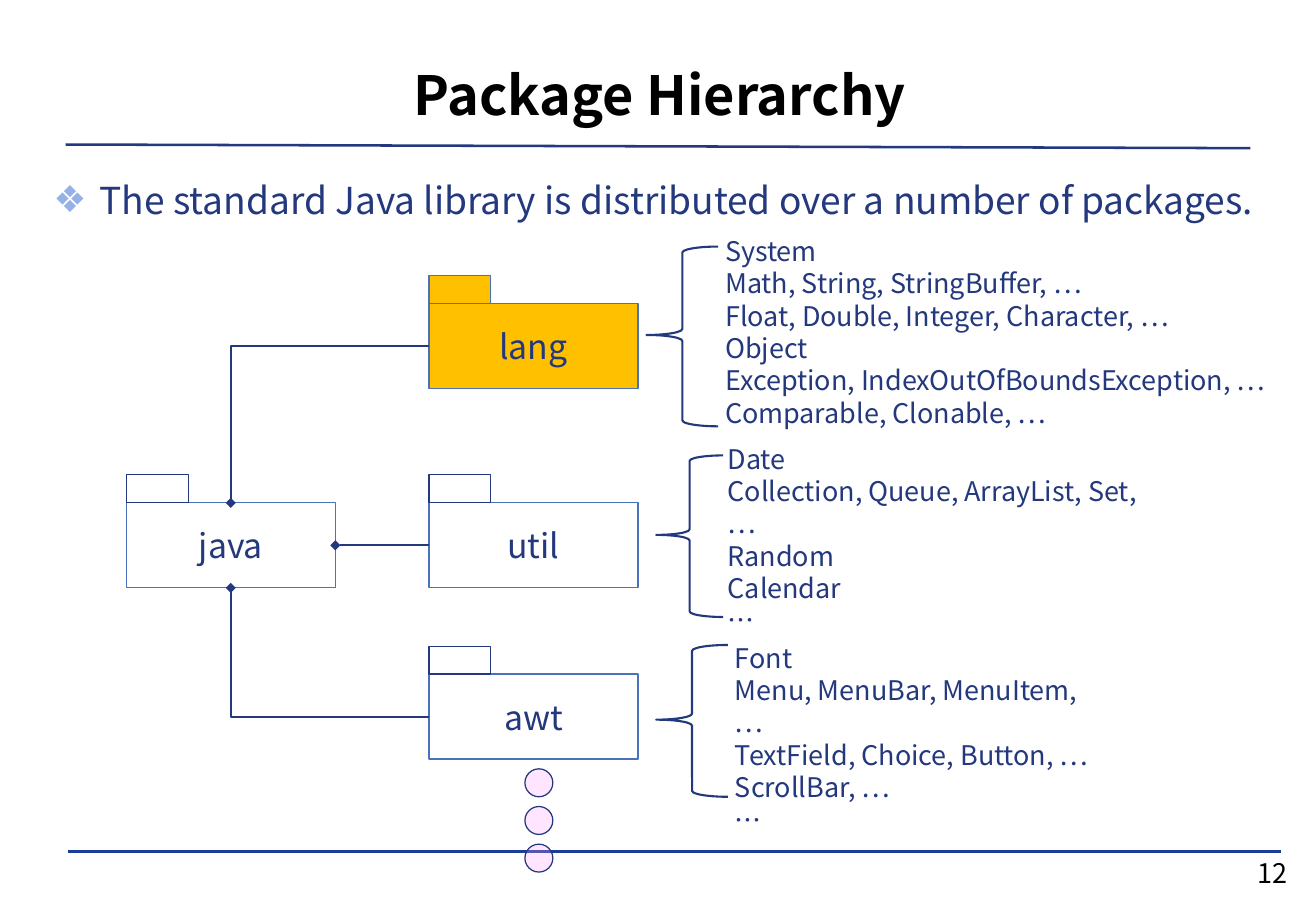
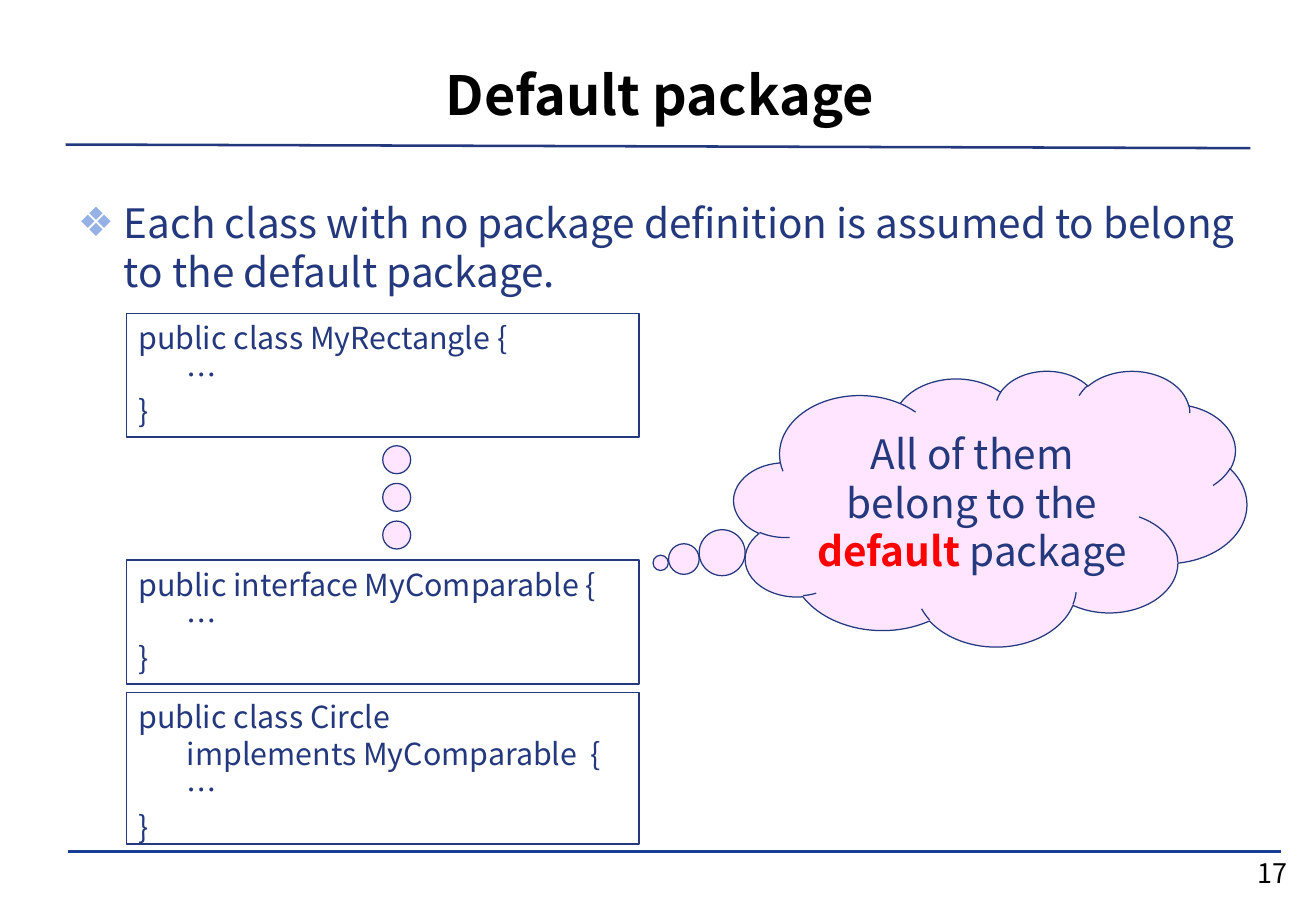
from lxml import etree
from pptx import Presentation
from pptx import util as u
from pptx.dml.color import RGBColor
from pptx.enum import shapes, text
from pptx.oxml import ns

FONT = "Noto Sans CJK KR"
COLORS = {"navy": "23387D", "blue": "4972BB", "footer": "1A3D97", "bullet": "96B1E6",
          "amber": "FFC000", "pink": "FF9BFF", "red": "FF0000", "black": "000000"}
FORMATS = {
    "title": {"size": u.Pt(32), "bold": True, "color": "black"},
    "wide": {"size": u.Pt(22), "color": "navy"},
    "large": {"size": u.Pt(24), "color": "navy"},
    "strong": {"size": u.Pt(24), "bold": True, "color": "red"},
    "folder": {"size": u.Pt(20), "color": "navy"},
    "classes": {"size": u.Pt(16), "color": "navy"},
    "code": {"size": u.Pt(18), "color": "navy"},
    "number": {"size": u.Pt(16), "color": "black"},
}
MARGINS = ("margin_left", "margin_top", "margin_right", "margin_bottom")
LINE_HEIGHT = 1.2
FOLDER_WIDTH, FOLDER_HEIGHT = 1.72, 0.7
TAB_WIDTH, TAB_HEIGHT = 0.51, 0.23
PACKAGES = [
    {"name": "lang", "top": 2.5, "fill": "amber", "tab_line": "blue",
     "brace": (5.32, 2.03, 0.59, 1.48), "box": (5.87, 1.88, 4.7, 1.72),
     "classes": ["System", "Math, String, StringBuffer, …",
                 "Float, Double, Integer, Character, …", "Object",
                 "Exception, IndexOutOfBoundsException, …", "Comparable, Clonable, …"]},
    {"name": "util", "top": 4.14, "fill": None, "tab_line": "navy",
     "brace": (5.4, 3.75, 0.55, 1.33), "box": (5.89, 3.59, 3.65, 1.45),
     "classes": ["Date", "Collection, Queue, ArrayList, Set, …", "Random", "Calendar", "…"]},
    {"name": "awt", "top": 5.55, "fill": None, "tab_line": "navy",
     "brace": (5.4, 5.31, 0.59, 1.25), "box": (5.95, 5.23, 3.18, 1.45),
     "classes": ["Font", "Menu, MenuBar, MenuItem, …", "TextField, Choice, Button, …",
                 "ScrollBar, …", "…"]},
]
CODE_BOXES = [
    (2.58, 1.02, [(0, "public class MyRectangle {"), (1, "…"), (0, "}")]),
    (4.61, 1.02, [(0, "public interface MyComparable {"), (1, "…"), (0, "}")]),
    (5.7, 1.25, [(0, "public class Circle"), (1, "implements MyComparable  {"),
                 (1, "…"), (0, "}")]),
]


def inches(*lengths):
    """Convert plain numbers to lengths."""
    return [u.Inches(length) for length in lengths]


def rgb(name):
    """Return a named colour."""
    return RGBColor.from_string(COLORS[name])


def set_values(target, values):
    """Set each attribute of a dict on the target."""
    for name, value in values.items():
        setattr(target, name, value)


def add_run(paragraph, words, style):
    """Append a run in a named format."""
    run = paragraph.add_run()
    run.text = words
    values = dict(FORMATS[style])
    run.font.color.rgb = rgb(values.pop("color"))
    set_values(run.font, {"name": FONT, **values})
    east_asian = etree.SubElement(run.font._element, ns.qn("a:ea"))
    east_asian.set("typeface", FONT)


def write(shape, lines, style, align=text.PP_ALIGN.LEFT, anchor=text.MSO_ANCHOR.TOP,
          tight=True):
    """Fill a shape with paragraphs and return them."""
    frame = shape.text_frame
    set_values(frame, {"word_wrap": True, "auto_size": text.MSO_AUTO_SIZE.NONE,
                       "vertical_anchor": anchor})
    for index, line in enumerate(lines):
        paragraph = frame.add_paragraph() if index else frame.paragraphs[0]
        paragraph.alignment = align
        if tight:
            paragraph.line_spacing = u.Pt(FORMATS[style]["size"].pt * LINE_HEIGHT)
        for words, run_style in [(line, style)] if isinstance(line, str) else line:
            add_run(paragraph, words, run_style)
    return list(frame.paragraphs)


def set_line(shape, color, width):
    """Give an outline its colour and width."""
    shape.line.color.rgb = rgb(color)
    shape.line.width = u.Pt(width)


def add_shape(parent, kind, box, fill=None, line="navy", width=0.75, alpha=None):
    """Draw a preset shape without shadow."""
    shape = parent.shapes.add_shape(kind, *inches(*box))
    shape.shadow.inherit = False
    set_line(shape, line, width)
    if fill is None:
        shape.fill.background()
        return shape
    shape.fill.solid()
    shape.fill.fore_color.rgb = rgb(fill)
    if alpha:
        color = shape._element.spPr.find(ns.qn("a:solidFill"))[0]
        etree.SubElement(color, ns.qn("a:alpha")).set("val", str(alpha * 1000))
    return shape


def add_line(slide, start, end, color, width, kind=shapes.MSO_CONNECTOR.STRAIGHT):
    """Draw a connector without shadow."""
    line = slide.shapes.add_connector(kind, *inches(*start, *end))
    set_line(line, color, width)
    etree.SubElement(line._element.spPr, ns.qn("a:effectLst"))
    return line


def add_frame(presentation, title, number, bullet, box, style):
    """Add a slide with title, rules, page number and bullet."""
    slide = presentation.slides.add_slide(presentation.slide_layouts[1])
    add_line(slide, (0.56, 7.01), (10.54, 7.01), "footer", 0)
    add_line(slide, (0.54, 1.19), (10.29, 1.22), "navy", 1.5)
    page = slide.shapes.add_textbox(*inches(10.22, 7.05, 0.5, 0.27))
    set_values(page.text_frame, dict.fromkeys(MARGINS, 0))
    write(page, [number], "number", text.PP_ALIGN.CENTER, text.MSO_ANCHOR.MIDDLE, False)
    heading, body = slide.placeholders
    for shape, place in ((heading, (0.56, 0.35, 9.74, 0.84)), (body, box)):
        set_values(shape, dict(zip(("left", "top", "width", "height"), inches(*place))))
    write(heading, [title], "title", text.PP_ALIGN.CENTER, text.MSO_ANCHOR.MIDDLE, False)
    paragraph, = write(body, [bullet], style)
    paragraph.space_before = u.Pt(2)
    properties = paragraph._p.get_or_add_pPr()
    properties.set("marL", str(u.Inches(0.38)))
    properties.set("indent", str(u.Inches(-0.38)))
    color = etree.SubElement(properties, ns.qn("a:buClr"))
    etree.SubElement(color, ns.qn("a:srgbClr")).set("val", COLORS["bullet"])
    etree.SubElement(properties, ns.qn("a:buChar")).set("char", "❖")
    return slide


def add_folder(slide, left, top, name, fill=None, tab_line="navy"):
    """Draw a package folder and return its body."""
    group = slide.shapes.add_group_shape()
    kind = shapes.MSO_SHAPE.RECTANGLE
    body = add_shape(group, kind, (left, top, FOLDER_WIDTH, FOLDER_HEIGHT), fill, "blue")
    write(body, [name], "folder", text.PP_ALIGN.CENTER, text.MSO_ANCHOR.MIDDLE, False)
    add_shape(group, kind, (left, top - TAB_HEIGHT, TAB_WIDTH, TAB_HEIGHT), fill, tab_line)
    return body


def add_dots(slide, left, top):
    """Draw three dots in a column."""
    group = slide.shapes.add_group_shape()
    for index in range(3):
        add_shape(group, shapes.MSO_SHAPE.OVAL, (left, top + index * 0.31, 0.23, 0.23),
                  "pink", alpha=26)


def add_composition(slide, part, whole, site):
    """Link a part to its whole with a diamond at the whole."""
    straight = site == 3
    kind = shapes.MSO_CONNECTOR.STRAIGHT if straight else shapes.MSO_CONNECTOR.ELBOW
    line = add_line(slide, (0, 0), (1, 1), "navy", 1.25, kind)
    line.begin_connect(part, 1)
    line.end_connect(whole, site)
    if not straight:
        line._element.spPr.find(ns.qn("a:prstGeom")).set("prst", "bentConnector2")
    etree.SubElement(line.line._get_or_add_ln(), ns.qn("a:tailEnd")).set("type", "diamond")


def add_class_list(slide, brace_box, box, classes):
    """Draw a brace and the class names beside it."""
    brace = add_shape(slide, shapes.MSO_SHAPE.LEFT_BRACE, brace_box, width=1.25)
    brace.adjustments[0], brace.adjustments[1] = 0.083, 0.492
    write(slide.shapes.add_textbox(*inches(*box)), classes, "classes")


def add_code(slide, box, lines):
    """Draw a framed code fragment with indented lines."""
    shape = add_shape(slide, shapes.MSO_SHAPE.RECTANGLE, box, width=1)
    paragraphs = write(shape, [words for _, words in lines], "code")
    for paragraph, (level, _) in zip(paragraphs, lines):
        paragraph._p.get_or_add_pPr().set("marL", str(u.Inches(0.4 * level)))


def add_thought(slide, box):
    """Draw the thought cloud."""
    cloud = add_shape(slide, shapes.MSO_SHAPE.CLOUD_CALLOUT, box, "pink", alpha=26)
    cloud.adjustments[0], cloud.adjustments[1] = -0.643, 0.198
    set_values(cloud.text_frame, dict.fromkeys(MARGINS, 0))
    words = [("All of them belong to the ", "large"), ("default", "strong"),
             (" package", "large")]
    write(cloud, [words], "large", text.PP_ALIGN.CENTER, text.MSO_ANCHOR.MIDDLE)


def build_hierarchy(presentation):
    """Build the package hierarchy slide."""
    slide = add_frame(presentation, "Package Hierarchy", "12",
                      "The standard Java library is distributed over a number of packages.",
                      (0.34, 1.41, 10.31, 0.55), "wide")
    java = add_folder(slide, 1.04, 4.14, "java")
    for package, site in zip(PACKAGES, (0, 3, 2)):
        folder = add_folder(slide, 3.53, package["top"], package["name"],
                            package["fill"], package["tab_line"])
        add_composition(slide, folder, java, site)
        add_class_list(slide, package["brace"], package["box"], package["classes"])
    add_dots(slide, 4.32, 6.33)


def build_default(presentation):
    """Build the default package slide."""
    slide = add_frame(presentation, "Default package", "17",
                      "Each class with no package definition is assumed to belong "
                      "to the default package.",
                      (0.54, 1.58, 9.75, 0.92), "large")
    for top, height, lines in CODE_BOXES:
        add_code(slide, (1.04, top, 4.22, height), lines)
    add_dots(slide, 3.15, 3.67)
    add_thought(slide, (6.04, 3.05, 4.22, 2.27))


def main():
    """Build and save the presentation."""
    presentation = Presentation()
    presentation.slide_width, presentation.slide_height = inches(10.83, 7.5)
    build_hierarchy(presentation)
    build_default(presentation)
    presentation.save("out.pptx")


if __name__ == "__main__":
    main()
